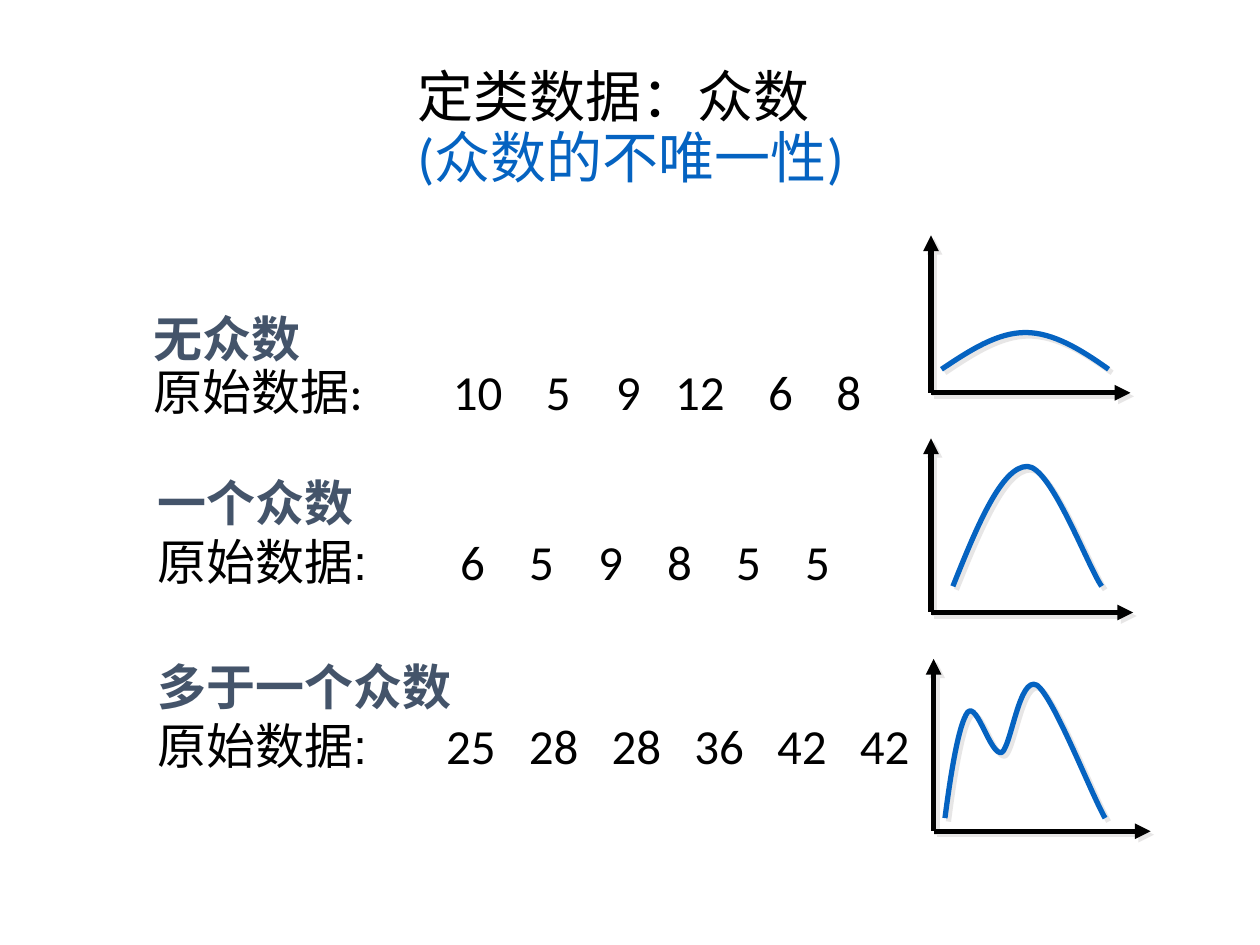
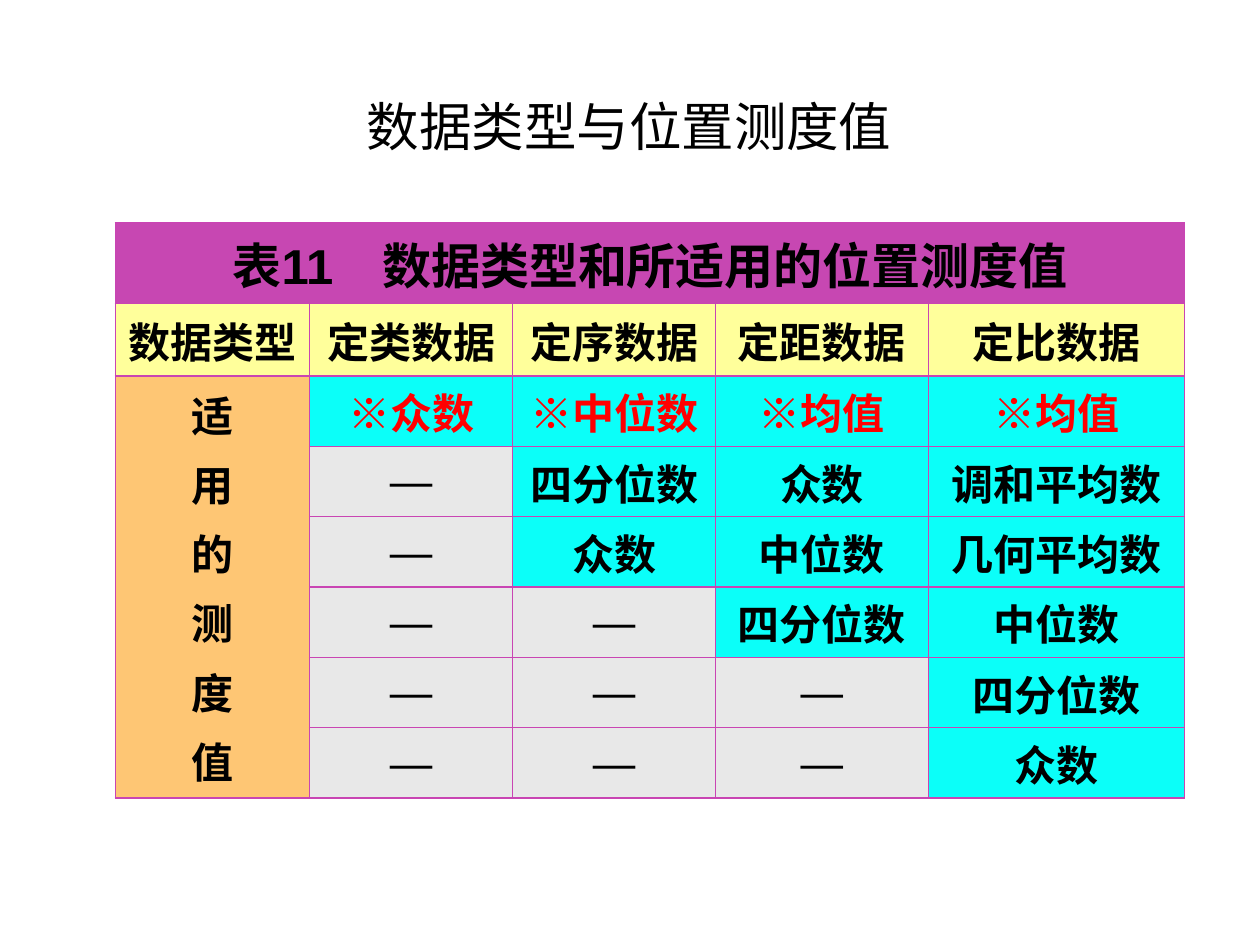
"""Two statistics slides: uniqueness of the mode, and measures of location by data type."""
from lxml.etree import SubElement
from pptx import Presentation
from pptx.dml.color import RGBColor
from pptx.enum.shapes import MSO_CONNECTOR
from pptx.enum.text import MSO_ANCHOR, PP_ALIGN
from pptx.oxml import parse_xml
from pptx.oxml.ns import nsdecls, qn
from pptx.util import Pt

COLORS = {
    "black": "000000", "blue": "0563C1", "slate": "44546A", "red": "FF0000",
    "shadow": "E7E6E6", "purple": "C747B2", "border": "C945B3", "yellow": "FFFF9B",
    "orange": "FEC674", "cyan": "0BFFF9", "grey": "E8E8E8",
}


def style(r, size, name, color, bold=False):
    r.font.size, r.font.name, r.font.bold = Pt(size), name, bold
    r.font.color.rgb = RGBColor.from_string(COLORS[color])


def draw_line(sp, color, arrow=None):
    sp.line.width = Pt(3)
    sp.line.color.rgb = RGBColor.from_string(COLORS[color])
    if arrow:
        SubElement(sp._element.spPr.find(qn("a:ln")), qn(f"a:{arrow}"), type="triangle")
    sp._element.spPr.append(parse_xml(
        f'<a:effectLst {nsdecls("a")}><a:outerShdw dist="35560" dir="2700000" algn="ctr">'
        f'<a:srgbClr val="{COLORS["shadow"]}"/></a:outerShdw></a:effectLst>'))


prs = Presentation()
prs.slide_width, prs.slide_height = Pt(720), Pt(540)

titles = [
    ("定类数据：众数\v(众数的不唯一性)", 168.5, 42.5, 400, 63.5, 32, 70),
    ("数据类型与位置测度值", 116.5, 44.5, 486, 58.5, 30, 93),
]
for text, x, y, w, h, size, indent in titles:
    s = prs.slides.add_slide(prs.slide_layouts[6])
    tf = s.shapes.add_textbox(Pt(x), Pt(y), Pt(w), Pt(h)).text_frame
    tf.word_wrap, tf.vertical_anchor = True, MSO_ANCHOR.MIDDLE
    tf.margin_left, tf.margin_right = Pt(indent), Pt(5)
    p = tf.paragraphs[0]
    p.text, p.line_spacing = text, 0.9
    for r, color in zip(p.runs, ("black", "blue")):
        style(r, size, "Calibri", color)
mode_slide, measure_slide = prs.slides

examples = [
    ("无众数", (10, 5, 9, 12, 6, 8), 176.5, 425, 5, 0.9, "Calibri",
     (185, 231, 271, 312, 358, 397)),
    ("一个众数", (6, 5, 9, 8, 5, 5), 266.5, 425, 7.2, 1, "Arial",
     [180 + 39.4 * i for i in range(6)]),
    ("多于一个众数", (25, 28, 28, 36, 42, 42), 371.5, 451.5, 7.2, 1, "Arial",
     [179 + 47.3 * i for i in range(6)]),
]
for heading, values, y, w, margin, spacing, font, tabs in examples:
    tf = mode_slide.shapes.add_textbox(Pt(83), Pt(y), Pt(w), Pt(75)).text_frame
    tf.word_wrap = True
    tf.margin_left = tf.margin_right = Pt(margin)
    p = tf.paragraphs[0]
    p.text, p.line_spacing = f"{heading}\v原始数据:", spacing
    tab_list = SubElement(p._p.get_or_add_pPr(), qn("a:tabLst"))
    for pos in tabs:
        SubElement(tab_list, qn("a:tab"), pos=str(Pt(pos)), algn="ctr")
    style(p.runs[0], 28, font, "slate", True)
    style(p.runs[1], 28, font, "black")
    r = p.add_run()
    r.text = "".join(f"\t{value}" for value in values)
    style(r, 28, "Calibri", "black")

graphs = [
    (532, 134.5, 224.5, 646,
     [(538, 211), (554.5, 200), (570, 190), (586, 190), (602, 190), (618, 200), (633.5, 211)]),
    (532, 250.5, 350, 647.5,
     [(544.5, 335), (558.5, 300), (572.5, 266.5), (587, 266.5), (600.5, 266.5),
      (621.5, 323.5), (629.5, 335)]),
    (533.5, 376.5, 475, 657.5,
     [(540, 467.5), (543.5, 440.5), (548, 413.5), (553, 407), (558.5, 401), (566, 432),
      (572.5, 430), (578, 426), (582.5, 386), (592.5, 391.5), (602, 398), (623.5, 453.5),
      (631.5, 467.5)]),
]
for x, top, bottom, right, points in graphs:
    shapes = mode_slide.shapes.add_group_shape().shapes
    for x1, y1, x2, y2, arrow in ((x, top, x, bottom, "headEnd"),
                                  (x, bottom, right, bottom, "tailEnd")):
        axis = shapes.add_connector(MSO_CONNECTOR.STRAIGHT, Pt(x1), Pt(y1), Pt(x2), Pt(y2))
        draw_line(axis, "black", arrow)
    points = [(Pt(px), Pt(py)) for px, py in points]
    builder = shapes.build_freeform(*points[0])
    builder.add_line_segments(points[1:], close=False)
    curve = builder.convert_to_shape()
    curve.fill.background()
    draw_line(curve, "blue")
    outline = curve._element.find(".//" + qn("a:path"))
    segments = outline.findall(qn("a:lnTo"))
    for i in range(0, len(segments), 3):
        bezier = SubElement(outline, qn("a:cubicBezTo"))
        for segment in segments[i:i + 3]:
            bezier.append(segment[0])
            outline.remove(segment)

rows = [
    ["表11　数据类型和所适用的位置测度值", "", "", "", ""],
    ["数据类型", "定类数据", "定序数据", "定距数据", "定比数据"],
    ["适\n用\n的\n测\n度\n值", "※众数", "※中位数", "※均值", "※均值"],
    ["", "—", "四分位数", "众数", "调和平均数"],
    ["", "—", "众数", "中位数", "几何平均数"],
    ["", "—", "—", "四分位数", "中位数"],
    ["", "—", "—", "—", "四分位数"],
    ["", "—", "—", "—", "众数"],
]
widths = (111, 116, 116, 121.5, 146.5)
heights = [46, 41.4] + [40.2] * 6
table = measure_slide.shapes.add_table(
    len(rows), len(widths), Pt(66), Pt(127.5), Pt(sum(widths)), Pt(sum(heights))).table
table.first_row = table.horz_banding = False
for column, width in zip(table.columns, widths):
    column.width = Pt(width)
for row, height in zip(table.rows, heights):
    row.height = Pt(height)
table.cell(0, 0).merge(table.cell(0, 4))
table.cell(2, 0).merge(table.cell(7, 0))
for i, row in enumerate(rows):
    for j, text in enumerate(row):
        cell = table.cell(i, j)
        cell.vertical_anchor = MSO_ANCHOR.MIDDLE
        cell.margin_left = cell.margin_right = Pt(5)
        cell.margin_top = cell.margin_bottom = Pt(2.9)
        for side in ("lnL", "lnR", "lnT", "lnB"):
            cell._tc.get_or_add_tcPr().append(parse_xml(
                f'<a:{side} {nsdecls("a")} w="12700"><a:solidFill>'
                f'<a:srgbClr val="{COLORS["border"]}"/></a:solidFill></a:{side}>'))
        if i == 0:
            fill = "purple"
        elif i == 1:
            fill = "yellow"
        elif j == 0:
            fill = "orange"
        else:
            fill = "grey" if text == "—" else "cyan"
        cell.fill.solid()
        cell.fill.fore_color.rgb = RGBColor.from_string(COLORS[fill])
        if not text:
            continue
        cell.text_frame.text = text
        for k, p in enumerate(cell.text_frame.paragraphs):
            p.alignment = PP_ALIGN.CENTER
            if k:
                p.space_before = Pt(4.8)
            size, font = (28, "Arial") if i == 0 else (24, "Times New Roman")
            style(p.runs[0], size, font, "red" if text.startswith("※") else "black", True)

prs.save("out.pptx")
